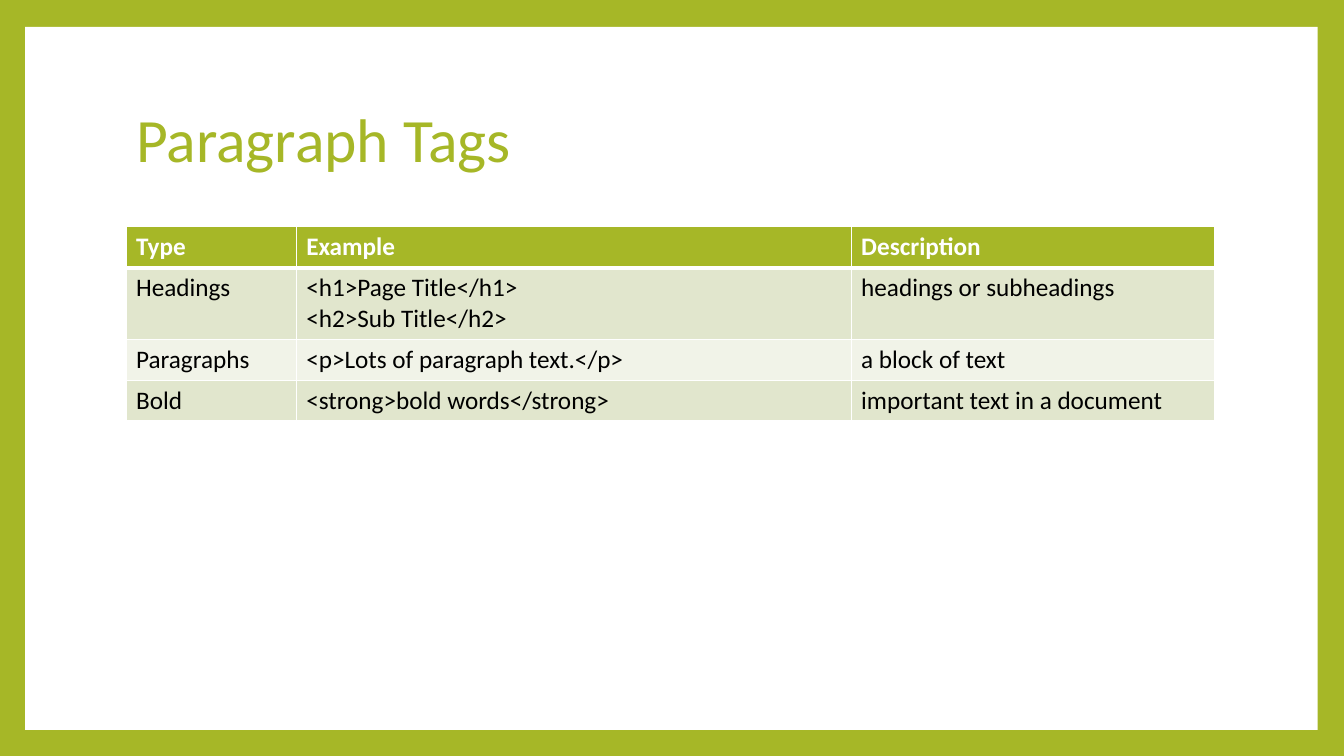
"""Build the Paragraph Tags slide."""
from dataclasses import dataclass
from typing import Any

from lxml.etree import SubElement
from pptx import Presentation
from pptx.dml.color import RGBColor
from pptx.enum.shapes import MSO_SHAPE
from pptx.enum.text import MSO_ANCHOR, MSO_AUTO_SIZE, PP_ALIGN
from pptx.oxml.ns import qn
from pptx.util import Pt


@dataclass(frozen=True)
class Theme:
    lime: RGBColor = RGBColor.from_string("A6B727")
    band: RGBColor = RGBColor.from_string("E1E6CD")
    pale: RGBColor = RGBColor.from_string("F1F3E8")
    white: RGBColor = RGBColor.from_string("FFFFFF")
    black: RGBColor = RGBColor.from_string("000000")
    font: str = "Calibri"
    head: float = 44
    text: float = 18
    thin: float = 1
    thick: float = 3


@dataclass(frozen=True)
class Row:
    cells: tuple[str, str, str]
    fill: RGBColor
    ink: RGBColor
    high: float = 29.2
    bold: bool = False
    top: float = 1
    base: float = 1


THEME = Theme()
LEFT, WIDE = 90, 777.6
COLS = (121.6, 396.4, 259.6)
ROWS = (
    Row(("Type", "Example", "Description"), THEME.lime, THEME.white,
        bold=True, base=THEME.thick),
    Row(("Headings", "<h1>Page Title</h1>\n<h2>Sub Title</h2>", "headings or subheadings"),
        THEME.band, THEME.black, high=51, top=THEME.thick),
    Row(("Paragraphs", "<p>Lots of paragraph text.</p>", "a block of text"),
        THEME.pale, THEME.black),
    Row(("Bold", "<strong>bold words</strong>", "important text in a document"),
        THEME.band, THEME.black),
)


def apply(item: Any, values: dict[str, Any]) -> None:
    """Set each named attribute on the item."""
    for name, value in values.items():
        setattr(item, name, value)


def paint(item: Any, color: RGBColor) -> None:
    """Fill the item with a solid colour."""
    item.fill.solid()
    item.fill.fore_color.rgb = color


def style(para: Any, size: float, ink: RGBColor, bold: bool = False) -> None:
    """Format the font of a paragraph's runs."""
    for run in para.runs:
        apply(run.font, {"name": THEME.font, "size": Pt(size), "bold": bold})
        run.font.color.rgb = ink


def edge(cell: Any, row: Row) -> None:
    """Draw the four borders of a cell."""
    props = cell._tc.get_or_add_tcPr()
    sides = {"lnL": THEME.thin, "lnR": THEME.thin, "lnT": row.top, "lnB": row.base}
    for spot, (side, width) in enumerate(sides.items()):
        line = SubElement(props, qn(f"a:{side}"), w=str(Pt(width)))
        fill = SubElement(line, qn("a:solidFill"))
        SubElement(fill, qn("a:srgbClr"), val=str(THEME.white))
        props.insert(spot, line)


def add_title(slide: Any) -> None:
    """Place and format the title."""
    title = slide.shapes.title
    apply(title, {"left": Pt(LEFT), "top": Pt(48.4), "width": Pt(WIDE), "height": Pt(106.4)})
    frame = title.text_frame
    frame.text = "Paragraph Tags"
    apply(frame, {"vertical_anchor": MSO_ANCHOR.MIDDLE, "word_wrap": True,
                  "auto_size": MSO_AUTO_SIZE.NONE})
    para = frame.paragraphs[0]
    apply(para, {"alignment": PP_ALIGN.LEFT, "line_spacing": 0.9})
    style(para, THEME.head, THEME.lime)


def add_panel(slide: Any) -> None:
    """Lay the white panel behind the title."""
    panel = slide.shapes.add_shape(MSO_SHAPE.RECTANGLE, Pt(18), Pt(19.2), Pt(923.2), Pt(502.2))
    paint(panel, THEME.white)
    panel.line.fill.background()
    panel.shadow.inherit = False
    slide.shapes.title.element.addprevious(panel.element)


def add_grid(slide: Any) -> None:
    """Build the table of tags."""
    high = sum(row.high for row in ROWS)
    grid = slide.shapes.add_table(len(ROWS), len(COLS), Pt(LEFT), Pt(162),
                                  Pt(WIDE), Pt(high)).table
    for column, width in zip(grid.columns, COLS):
        column.width = Pt(width)
    for line, row in zip(grid.rows, ROWS):
        line.height = Pt(row.high)
        for cell, text in zip(line.cells, row.cells):
            cell.text = text
            paint(cell, row.fill)
            edge(cell, row)
            for para in cell.text_frame.paragraphs:
                style(para, THEME.text, row.ink, row.bold)


def main() -> None:
    """Create and save the slide."""
    deck = Presentation()
    apply(deck, {"slide_width": Pt(960), "slide_height": Pt(540)})
    slide = deck.slides.add_slide(deck.slide_layouts.get_by_name("Title Only"))
    paint(slide.background, THEME.lime)
    add_title(slide)
    add_panel(slide)
    add_grid(slide)
    deck.save("out.pptx")


if __name__ == "__main__":
    main()
